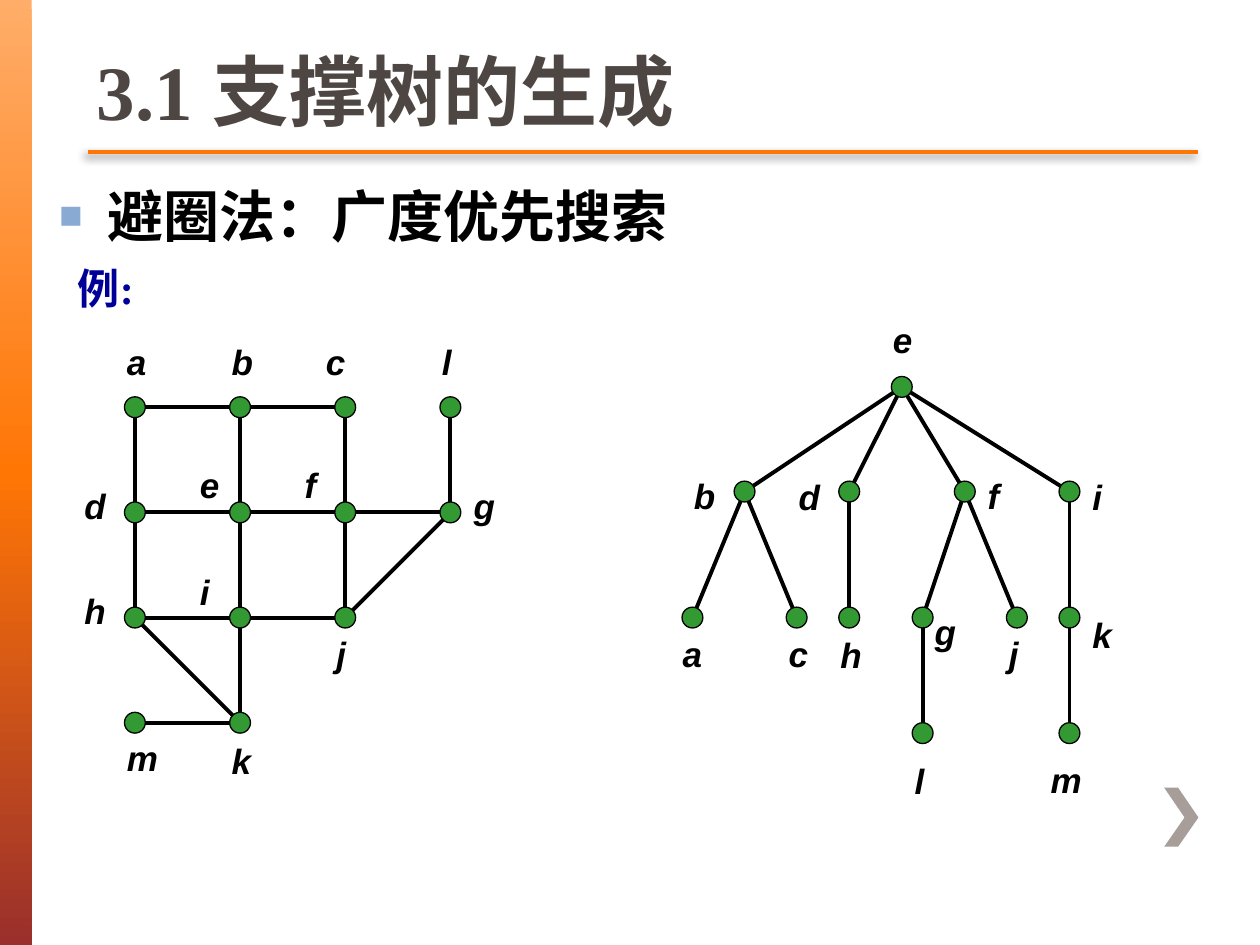
from copy import deepcopy
from dataclasses import dataclass

from pptx import Presentation
from pptx.dml.color import RGBColor as RGB
from pptx.enum.shapes import MSO_CONNECTOR as CONN, MSO_SHAPE as SHAPE
from pptx.enum.text import MSO_ANCHOR as ANCHOR, MSO_AUTO_SIZE as AUTO, PP_ALIGN as ALIGN
from pptx.oxml import parse_xml
from pptx.oxml.ns import nsdecls, qn
from pptx.util import Cm, Pt


@dataclass(frozen=True)
class Theme:
    title: str = "4D4643"
    text: str = "000000"
    example: str = "000099"
    bullet: str = "89AAD3"
    node: str = "339933"
    accent: str = "FF7605"
    chevron: str = "A79D99"
    band: tuple = ("FFAD69", "FF7605", "9A2F2C")
    serif: str = "Times New Roman"
    sans: str = "Arial"
    title_size: int = 44
    body_size: int = 32
    example_size: int = 24
    label_size: int = 20


T = Theme()


def write(tf, text, font, size, color, italic=False):
    tf.auto_size = AUTO.NONE
    tf.word_wrap = True
    p = tf.paragraphs[0]
    p.alignment = ALIGN.LEFT
    r = p.add_run()
    r.text = text
    r.font.name, r.font.size = font, Pt(size)
    r.font.bold, r.font.italic = True, italic
    r.font.color.rgb = RGB.from_string(color)
    return p


def draw_line(start, end, color, width, effects=""):
    line = s.shapes.add_connector(CONN.STRAIGHT, *map(Cm, start + end))
    line.line.color.rgb = RGB.from_string(color)
    line.line.width = Pt(width)
    line._element.spPr.append(
        parse_xml(f'<a:effectLst {nsdecls("a")}>{effects}</a:effectLst>'))


prs = Presentation()
prs.slide_width, prs.slide_height = Cm(25.4), Cm(19.05)
s = prs.slides.add_slide(prs.slide_layouts[1])

band = s.shapes.add_shape(SHAPE.RECTANGLE, 0, 0, Cm(0.64), prs.slide_height)
band.shadow.inherit = False
band.line.fill.background()
band.fill.gradient()
band.fill.gradient_angle = 270
gs_list = band._element.spPr.find(qn("a:gradFill")).find(qn("a:gsLst"))
gs_list.append(deepcopy(gs_list[0]))
for i, (gs, color) in enumerate(zip(band.fill.gradient_stops, T.band)):
    gs.position = i / 2
    gs.color.rgb = RGB.from_string(color)

builder = s.shapes.build_freeform(Cm(23.75), Cm(15.88))
builder.add_line_segments([(Cm(x), Cm(y)) for x, y in [
    (23.47, 15.88), (23.88, 16.48), (23.47, 17.07), (23.75, 17.07), (24.16, 16.48)]])
chevron = builder.convert_to_shape()
chevron.shadow.inherit = False
chevron.fill.solid()
chevron.fill.fore_color.rgb = RGB.from_string(T.chevron)
chevron.line.fill.background()

draw_line((1.78, 3.07), (24.16, 3.07), T.accent, 2.5,
          '<a:outerShdw blurRad="63500" dist="38100" dir="8100000">'
          '<a:srgbClr val="000000"><a:alpha val="45000"/></a:srgbClr></a:outerShdw>')

title = s.shapes.title
title.left, title.top, title.width, title.height = Cm(1.7), Cm(0), Cm(22.38), Cm(2.87)
title.text_frame.vertical_anchor = ANCHOR.BOTTOM
write(title.text_frame, "3.1 支撑树的生成", T.serif, T.title_size, T.title)

body = s.placeholders[1]
body.left, body.top, body.width, body.height = Cm(0.94), Cm(3.53), Cm(17.42), Cm(1.6)
p = write(body.text_frame, "避圈法：广度优先搜索", T.serif, T.body_size, T.text)
pPr = p._p.get_or_add_pPr()
pPr.set("marL", str(Cm(0.97)))
pPr.set("indent", str(Cm(-0.97)))
for xml in (f'<a:buClr {nsdecls("a")}><a:srgbClr val="{T.bullet}"/></a:buClr>',
            f'<a:buSzPct {nsdecls("a")} val="70000"/>',
            f'<a:buChar {nsdecls("a")} char="■"/>'):
    pPr.append(parse_xml(xml))

example = s.shapes.add_textbox(Cm(1.32), Cm(5.16), Cm(21.59), Cm(1.27))
write(example.text_frame, "例:", T.serif, T.example_size, T.example)

cols = [2.72 + 2.12 * i for i in range(4)]
rows = [8.21 + 2.12 * i for i in range(4)]
grid_rows = ["abcl", "defg", "hij", "mk"]
grid_nodes = {name: (x, y) for names, y in zip(grid_rows, rows)
              for name, x in zip(names, cols)}
grid_edges = "ab bc fg ah df hj bi cj jg lg ik mk hk"
grid_labels = {
    "a": (2.31, 6.73), "b": (4.42, 6.73), "c": (6.32, 6.73), "l": (8.66, 6.73),
    "d": (1.45, 9.65), "e": (3.78, 9.22), "f": (5.89, 9.22), "g": (9.3, 9.65),
    "h": (1.45, 11.76), "i": (3.78, 11.38), "j": (6.53, 12.62),
    "m": (2.31, 14.73), "k": (4.42, 14.78)}

tree_levels = [
    (7.8, {"e": 18.18}),
    (9.91, {"b": 15.01, "d": 17.12, "f": 19.45, "i": 21.56}),
    (12.45, {"a": 13.96, "c": 16.06, "h": 17.12, "g": 18.6, "j": 20.5, "k": 21.56}),
    (14.78, {"l": 18.6, "m": 21.56})]
tree_nodes = {name: (x, y) for y, level in tree_levels for name, x in level.items()}
tree_edges = "eb ed ef ei ba bc dh fg fj ik km gl"
tree_labels = {
    "e": (17.75, 6.3), "b": (13.74, 9.45), "d": (15.85, 9.47), "f": (19.66, 9.45),
    "i": (21.77, 9.47), "a": (13.51, 12.62), "c": (15.65, 12.62), "h": (16.69, 12.65),
    "g": (18.59, 12.19), "j": (20.09, 12.62), "k": (21.77, 12.24),
    "l": (18.19, 15.19), "m": (20.93, 15.16)}

size = 0.42
for nodes, edges, labels in ((grid_nodes, grid_edges, grid_labels),
                             (tree_nodes, tree_edges, tree_labels)):
    for start, end in edges.split():
        draw_line(nodes[start], nodes[end], T.text, 2.25)
    for name, (x, y) in labels.items():
        box = s.shapes.add_textbox(Cm(x), Cm(y), Cm(1.27), Cm(1.09))
        write(box.text_frame, name, T.sans, T.label_size, T.text, italic=True)
    for x, y in nodes.values():
        dot = s.shapes.add_shape(SHAPE.OVAL, Cm(x - size / 2), Cm(y - size / 2),
                                 Cm(size), Cm(size))
        dot.shadow.inherit = False
        dot.fill.solid()
        dot.fill.fore_color.rgb = RGB.from_string(T.node)
        dot.line.color.rgb = RGB.from_string(T.text)
        dot.line.width = Pt(0.75)

prs.save("out.pptx")
